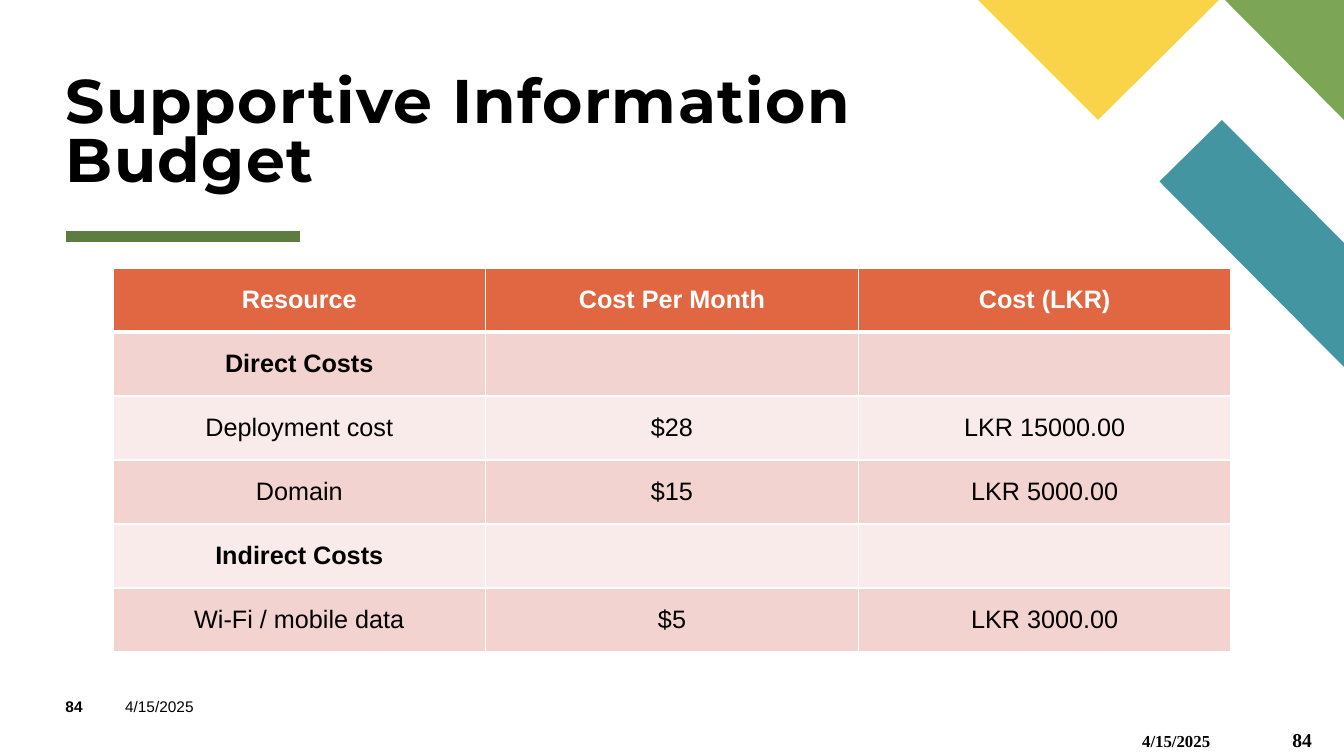
from lxml.etree import SubElement
from pptx import Presentation
from pptx.dml.color import RGBColor
from pptx.enum.text import MSO_ANCHOR as Anchor, PP_ALIGN as Align
from pptx.oxml.ns import qn
from pptx.util import Inches, Pt

BLACK = RGBColor(0x00, 0x00, 0x00)
WHITE = RGBColor(0xFF, 0xFF, 0xFF)
TEAL = RGBColor(0x44, 0x95, 0xA2)
GREEN = RGBColor(0x7C, 0xA6, 0x55)
YELLOW = RGBColor(0xF9, 0xD4, 0x48)
DARK_GREEN = RGBColor(0x5D, 0x7D, 0x40)
ORANGE = RGBColor(0xE0, 0x67, 0x42)
BANDS = [RGBColor(0xF9, 0xEB, 0xE9), RGBColor(0xF3, 0xD3, 0xCF)]

CORNER_SHAPES = [
    (TEAL, [(13.33, 3.64), (13.33, 2.41), (12.12, 1.19), (11.5, 1.8)]),
    (GREEN, [(13.33, 1.19), (13.33, 0), (12.15, 0)]),
    (YELLOW, [(9.7, 0), (10.89, 1.19), (12.09, 0)]),
]

BUDGET = [
    ("Resource", "Cost Per Month", "Cost (LKR)"),
    ("Direct Costs", "", ""),
    ("Deployment cost", "$28", "LKR 15000.00"),
    ("Domain", "$15", "LKR 5000.00"),
    ("Indirect Costs", "", ""),
    ("Wi-Fi / mobile data", "$5", "LKR 3000.00"),
]
BOLD_ROWS = (0, 1, 4)


def style_font(font, color, **values):
    font.color.rgb = color
    for name, value in values.items():
        setattr(font, name, value)


def add_polygon(page, color, points):
    corners = [(Inches(x), Inches(y)) for x, y in points]
    builder = page.shapes.build_freeform(*corners[0])
    builder.add_line_segments(corners[1:], close=True)
    shape = builder.convert_to_shape()
    shape.shadow.inherit = False
    shape.fill.solid()
    shape.fill.fore_color.rgb = color
    shape.line.fill.background()


def add_rule(page, left, right, top):
    rule = page.shapes.add_connector(1, Inches(left), Inches(top), Inches(right), Inches(top))
    rule.line.color.rgb = DARK_GREEN
    rule.line.width = Pt(8)
    SubElement(rule._element.spPr, qn("a:effectLst"))


def add_text(page, text, place, margins=(0, 0), anchor=Anchor.TOP, **values):
    box = page.shapes.add_textbox(*map(Inches, place))
    frame = box.text_frame
    side, edge = map(Inches, margins)
    layout = {
        "word_wrap": True,
        "vertical_anchor": anchor,
        "margin_left": side,
        "margin_right": side,
        "margin_top": edge,
        "margin_bottom": edge,
    }
    for name, value in layout.items():
        setattr(frame, name, value)
    para = frame.paragraphs[0]
    para.text = text
    for span in para.runs:
        style_font(span.font, BLACK, **values)
    return para


def add_title(page):
    para = add_text(
        page, "Supportive Information\vBudget", (0.65, 0.3, 10.69, 1.63),
        anchor=Anchor.BOTTOM, name="Montserrat", size=Pt(44), bold=True,
    )
    para.line_spacing = 0.8
    for span in para.runs:
        span._r.get_or_add_rPr().set("spc", "100")


def add_border(cell, side, points):
    line = SubElement(cell._tc.get_or_add_tcPr(), qn(f"a:{side}"), w=str(Pt(points)))
    fill = SubElement(line, qn("a:solidFill"))
    SubElement(fill, qn("a:srgbClr"), val=str(WHITE))


def add_budget_table(page):
    place = map(Inches, (1.12, 2.66, 11.09, 3.81))
    table = page.shapes.add_table(len(BUDGET), len(BUDGET[0]), *place).table
    for row, texts in enumerate(BUDGET):
        for column, text in enumerate(texts):
            cell = table.cell(row, column)
            for side in ("lnL", "lnR", "lnT", "lnB"):
                header_edge = (row, side) in ((0, "lnB"), (1, "lnT"))
                add_border(cell, side, 3 if header_edge else 1)
            cell.fill.solid()
            cell.fill.fore_color.rgb = BANDS[row % 2] if row else ORANGE
            cell.vertical_anchor = Anchor.MIDDLE
            para = cell.text_frame.paragraphs[0]
            para.text = text
            para.alignment = Align.CENTER
            style_font(
                para.font, BLACK if row else WHITE,
                name="Arial", size=Pt(18), bold=row in BOLD_ROWS,
            )
            for span in para.runs:
                style_font(
                    span.font, BLACK if row else WHITE,
                    name="Arial", size=Pt(18), bold=row in BOLD_ROWS,
                )


def add_footers(page):
    number, date = "84", "4/15/2025"
    serif = {"name": "Times New Roman", "bold": True, "margins": (0.1, 0.05)}
    add_text(page, number, (0.65, 6.92, 0.57, 0.27), name="Arial", size=Pt(11), bold=True)
    add_text(page, date, (1.24, 6.92, 1.44, 0.27), name="Arial", size=Pt(11))
    add_text(page, date, (11.23, 7.2, 1.44, 0.27), size=Pt(12), **serif)
    add_text(page, number, (12.72, 7.17, 0.57, 0.27), size=Pt(14), **serif)


def main():
    deck = Presentation()
    deck.slide_width = Inches(13.33)
    deck.slide_height = Inches(7.5)
    page = deck.slides.add_slide(deck.slide_layouts[6])
    for color, points in CORNER_SHAPES:
        add_polygon(page, color, points)
    add_rule(page, 0.65, 2.98, 2.35)
    add_title(page)
    add_footers(page)
    add_budget_table(page)
    deck.save("out.pptx")


if __name__ == "__main__":
    main()
